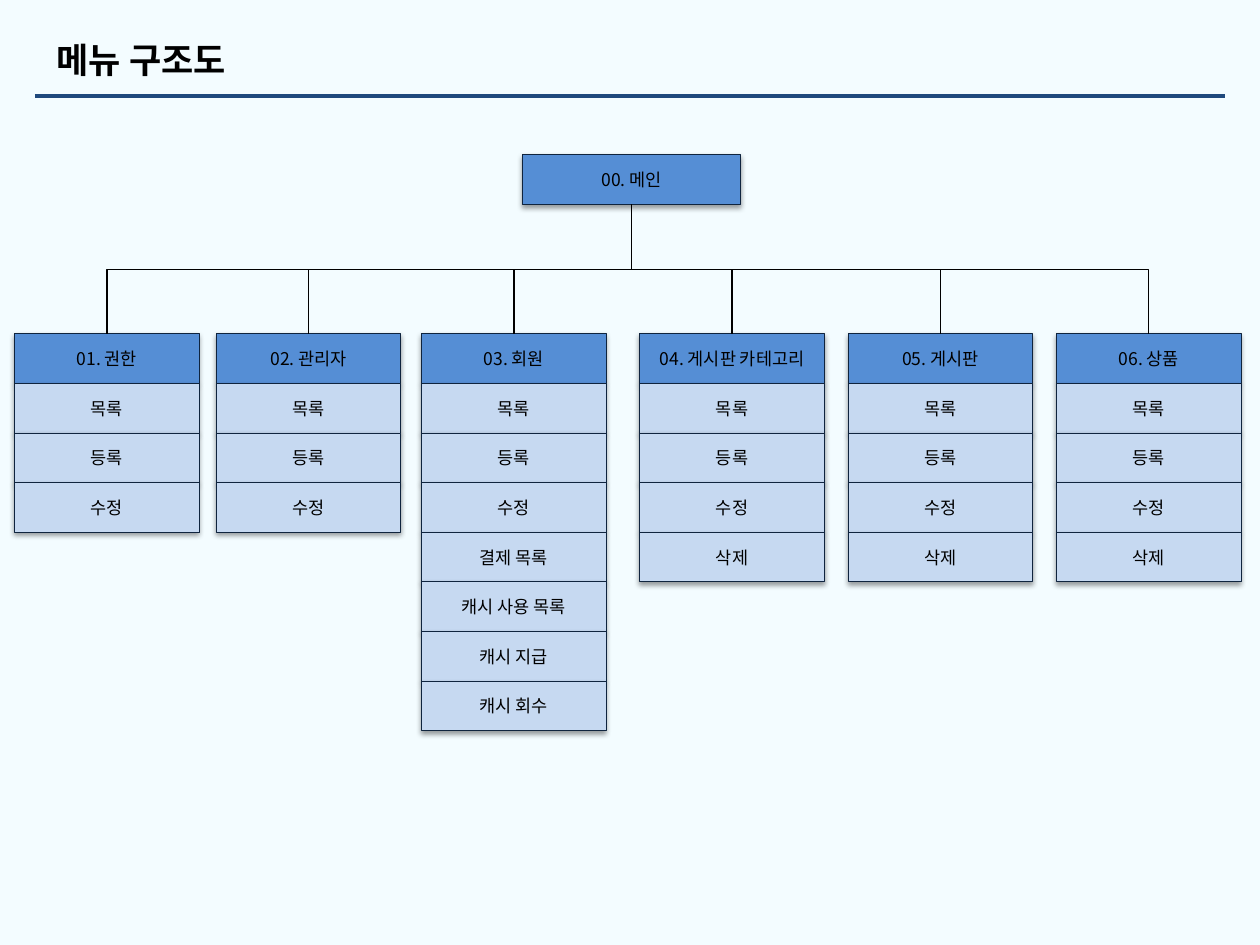
from lxml import etree
from pptx import Presentation
from pptx.dml.color import RGBColor
from pptx.enum import shapes, text
from pptx.oxml import ns, parse_xml
from pptx.util import Pt

TITLE = "메뉴 구조도"
MAIN_MENU = "00. 메인"
BASIC = ["목록", "등록", "수정"]
MENUS = [  # heading, left edge, entries
    ("01. 권한", 8.4, BASIC),
    ("02. 관리자", 123.6, BASIC),
    ("03. 회원", 241, BASIC + ["결제 목록", "캐시 사용 목록", "캐시 지급", "캐시 회수"]),
    ("04. 게시판 카테고리", 365.6, BASIC + ["삭제"]),
    ("05. 게시판", 484.6, BASIC + ["삭제"]),
    ("06. 상품", 603.8, BASIC + ["삭제"]),
]

FONT = "Noto Sans CJK KR"
BACKGROUND = RGBColor(0xF3, 0xFC, 0xFF)
HEADING_FILL = RGBColor(0x55, 0x8E, 0xD5)
ENTRY_FILL = RGBColor(0xC6, 0xD9, 0xF1)
BORDER = RGBColor(0x0F, 0x24, 0x3E)
RULE = RGBColor(0x1F, 0x49, 0x7D)
BLACK = RGBColor(0, 0, 0)

MAIN_LEFT, MAIN_TOP, MAIN_WIDTH = 298.4, 88.5, 124.8
MENU_TOP, MENU_WIDTH = 190.8, 105.4
ROW_HEIGHT = 28.35
BOTTOM, TOP = 2, 0  # connection sites of a rectangle

SHADOW = (
    f'<a:effectLst {ns.nsdecls("a")}><a:outerShdw blurRad="{Pt(3.1)}" dist="{Pt(1.6)}" '
    'dir="5400000" rotWithShape="0"><a:srgbClr val="000000"><a:alpha val="38000"/>'
    '</a:srgbClr></a:outerShdw></a:effectLst>'
)


def write(frame, words, align, **font_format):
    """Put one formatted line into a text frame, for Latin and Korean letters alike."""
    frame.word_wrap = True
    frame.vertical_anchor = text.MSO_ANCHOR.MIDDLE
    paragraph = frame.paragraphs[0]
    paragraph.alignment = align
    run = paragraph.add_run()
    run.text = words
    run.font.color.rgb = BLACK
    for name, value in {"name": FONT, **font_format}.items():
        setattr(run.font, name, value)
    etree.SubElement(run.font._element, ns.qn("a:ea"), typeface=FONT)


def add_box(slide, words, left, top, width, fill, border=0.5):
    box = slide.shapes.add_shape(
        shapes.MSO_SHAPE.RECTANGLE, Pt(left), Pt(top), Pt(width), Pt(ROW_HEIGHT))
    box.fill.solid()
    box.fill.fore_color.rgb = fill
    box.line.color.rgb = BORDER
    box.line.width = Pt(border)
    box._element.spPr.append(parse_xml(SHADOW))
    write(box.text_frame, words, text.PP_ALIGN.CENTER, size=Pt(10))
    return box


def add_line(slide, kind, ends, color, width):
    line = slide.shapes.add_connector(kind, *map(Pt, ends))
    line.line.color.rgb = color
    line.line.width = Pt(width)
    etree.SubElement(line._element.spPr, ns.qn("a:effectLst"))
    return line


def link(slide, parent, child):
    """Join parent to child with an elbow that runs down, across and down."""
    elbow = add_line(slide, shapes.MSO_CONNECTOR.ELBOW, (0, 0, 0, 0), BLACK, 0.75)
    elbow.begin_connect(parent, BOTTOM)
    elbow.end_connect(child, TOP)
    start_x, end_x = (box.left + box.width // 2 for box in (parent, child))
    start_y, end_y = parent.top + parent.height, child.top
    # The elbow is laid out sideways and then turned about its centre.
    run, drop = abs(end_x - start_x), end_y - start_y
    goes_right = end_x > start_x
    elbow.width, elbow.height = drop, run
    elbow.left = (start_x + end_x - drop) // 2
    elbow.top = (start_y + end_y - run) // 2
    frame = elbow._element.spPr.xfrm
    frame.set("rot", str((270 if goes_right else 90) * 60000))
    frame.set("flipH", "1" if goes_right else "0")
    frame.set("flipV", "0")


def main():
    deck = Presentation()
    deck.slide_width, deck.slide_height = Pt(720), Pt(540)
    slide = deck.slides.add_slide(deck.slide_layouts[5])
    slide.background.fill.solid()
    slide.background.fill.fore_color.rgb = BACKGROUND

    title = slide.shapes.title
    title.left, title.top, title.width, title.height = map(Pt, (25.2, 18, 478.8, 31.7))
    write(title.text_frame, TITLE, text.PP_ALIGN.LEFT, size=Pt(20), bold=True)
    add_line(slide, shapes.MSO_CONNECTOR.STRAIGHT, (20, 54.7, 700, 54.7), RULE, 2.5)

    main_box = add_box(
        slide, MAIN_MENU, MAIN_LEFT, MAIN_TOP, MAIN_WIDTH, HEADING_FILL, border=0.75)
    for heading, left, entries in MENUS:
        heading_box = add_box(slide, heading, left, MENU_TOP, MENU_WIDTH, HEADING_FILL)
        for row, entry in enumerate(entries, start=1):
            add_box(slide, entry, left, MENU_TOP + row * ROW_HEIGHT, MENU_WIDTH, ENTRY_FILL)
        link(slide, main_box, heading_box)

    deck.save("out.pptx")


if __name__ == "__main__":
    main()
